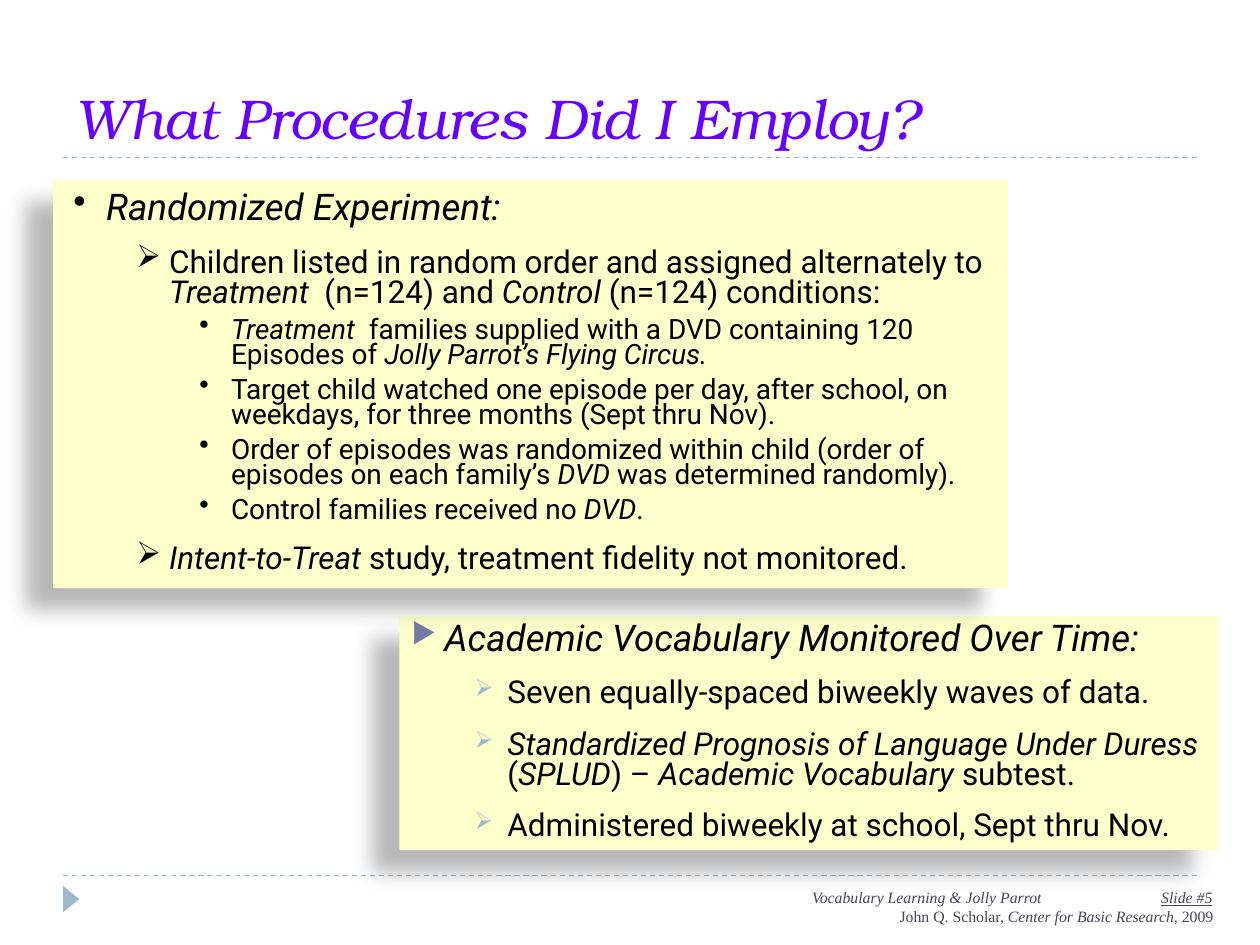
from dataclasses import dataclass

from lxml import etree
from pptx import Presentation
from pptx.dml.color import RGBColor
from pptx.enum.dml import MSO_LINE
from pptx.enum.shapes import MSO_CONNECTOR, MSO_SHAPE
from pptx.enum.text import MSO_ANCHOR, PP_ALIGN
from pptx.oxml.ns import qn
from pptx.util import Cm, Pt

DASH = MSO_LINE.DASH
STRAIGHT = MSO_CONNECTOR.STRAIGHT
RECTANGLE, TRIANGLE = MSO_SHAPE.RECTANGLE, MSO_SHAPE.ISOSCELES_TRIANGLE
MIDDLE = MSO_ANCHOR.MIDDLE
LEFT, RIGHT = PP_ALIGN.LEFT, PP_ALIGN.RIGHT

COLORS = {
    "title": "6600FF",
    "panel": "FFFFCC",
    "text": "000000",
    "accent": "9FB8CD",
    "marker": "727CA3",
    "footer": "464653",
}
TITLE_FONT = {"name": "TeX Gyre Bonum", "size": Pt(32)}
FOOTER_FONT = {"name": "Times New Roman", "size": Pt(9)}


@dataclass
class Level:
    size: float
    margin: float
    hanging: float
    line_spacing: float
    space_before: float


@dataclass
class Bullet:
    char: str
    color: str = "text"
    percent: int = 100


@dataclass
class Item:
    level: int
    bullet: Bullet
    text: str


@dataclass
class Panel:
    box: tuple[float, float, float, float]
    inset: float
    items: list[Item]


LEVELS = [
    Level(21, 0.66, 0.66, 0.8, 0),
    Level(18, 1.93, 0.66, 0.8, 12),
    Level(16, 3.18, 0.64, 0.75, 5.5),
]
DOT, ARROW = Bullet("•"), Bullet("➢")
MARKER, PALE_ARROW = Bullet("▶", "marker", 76), Bullet("➢", "accent", 76)

PANELS = [
    Panel((8.05, 12.42, 16.51, 4.72), 0.25, [
        Item(0, MARKER, "*Academic Vocabulary Monitored Over Time:*"),
        Item(1, PALE_ARROW, "Seven equally-spaced biweekly waves of data."),
        Item(1, PALE_ARROW, "*Standardized Prognosis of Language Under Duress *"
             "(*SPLUD*) – *Academic Vocabulary *subtest."),
        Item(1, PALE_ARROW, "Administered biweekly at school, Sept thru Nov."),
    ]),
    Panel((1.07, 3.63, 19.25, 8.23), 0.41, [
        Item(0, DOT, "*Randomized Experiment:*"),
        Item(1, ARROW, "Children listed in random order and assigned alternately to "
             "*Treatment*  (n=124) and *Control* (n=124) conditions:"),
        Item(2, DOT, "*Treatment * families supplied with a DVD containing 120 "
             "Episodes of *Jolly Parrot’s Flying Circus.*"),
        Item(2, DOT, "Target child watched one episode per day, after school, on "
             "weekdays, for three months (Sept thru Nov)."),
        Item(2, DOT, "Order of episodes was randomized within child (order of "
             "episodes on each family’s *DVD* was determined randomly)."),
        Item(2, DOT, "Control families received no *DVD*."),
        Item(1, ARROW, "*Intent-to-Treat *study, treatment fidelity not monitored."),
    ]),
]


def rgb(name: str) -> RGBColor:
    return RGBColor.from_string(COLORS[name])


def set_format(target, values: dict) -> None:
    for name, value in values.items():
        setattr(target, name, value)


def add_run(p, text: str, font: dict, color: str) -> None:
    r = p.add_run()
    r.text = text
    set_format(r.font, font)
    r.font.color.rgb = rgb(color)


def add_marked_text(p, text: str, font: dict, color: str) -> None:
    for i, part in enumerate(text.split("*")):
        if part:
            add_run(p, part, font | {"italic": i % 2 == 1}, color)


def prepare_frame(sp, left: float = 0.25, right: float = 0.25):
    tf = sp.text_frame
    set_format(tf, {
        "word_wrap": True, "vertical_anchor": MIDDLE,
        "margin_left": Cm(left), "margin_right": Cm(right),
        "margin_top": Cm(0.13), "margin_bottom": Cm(0.13),
    })
    return tf


def next_paragraph(tf, index: int):
    return tf.add_paragraph() if index else tf.paragraphs[0]


def add_bullet(p, bullet: Bullet, level: Level) -> None:
    pPr = p._p.get_or_add_pPr()
    pPr.set("marL", str(Cm(level.margin)))
    pPr.set("indent", str(-Cm(level.hanging)))
    color = etree.SubElement(pPr, qn("a:buClr"))
    etree.SubElement(color, qn("a:srgbClr"), val=COLORS[bullet.color])
    etree.SubElement(pPr, qn("a:buSzPct"), val=str(bullet.percent * 1000))
    etree.SubElement(pPr, qn("a:buChar"), char=bullet.char)


def add_shadow(sp) -> None:
    sp.shadow.inherit = False
    effects = sp._element.spPr.find(qn("a:effectLst"))
    shadow = etree.SubElement(
        effects, qn("a:outerShdw"), blurRad=str(Pt(11.8)), dist=str(Pt(19.7)),
        dir=str(141 * 60000), rotWithShape="0")
    color = etree.SubElement(shadow, qn("a:srgbClr"), val="000000")
    etree.SubElement(color, qn("a:alpha"), val="28000")


def add_filled_shape(s, kind, box: tuple, color: str):
    sp = s.shapes.add_shape(kind, *map(Cm, box))
    sp.shadow.inherit = False
    sp.fill.solid()
    sp.fill.fore_color.rgb = rgb(color)
    sp.line.fill.background()
    return sp


def add_panel(s, panel: Panel) -> None:
    sp = add_filled_shape(s, RECTANGLE, panel.box, "panel")
    add_shadow(sp)
    tf = prepare_frame(sp, left=panel.inset)
    for i, item in enumerate(panel.items):
        level = LEVELS[item.level]
        p = next_paragraph(tf, i)
        add_bullet(p, item.bullet, level)
        set_format(p, {
            "alignment": LEFT, "level": item.level,
            "line_spacing": level.line_spacing,
            "space_before": Pt(level.space_before),
        })
        add_marked_text(p, item.text, {"name": "Roboto", "size": Pt(level.size)}, "text")


def add_rule(s, y: float) -> None:
    line = s.shapes.add_connector(STRAIGHT, Cm(1.27), Cm(y), Cm(24.13), Cm(y))
    set_format(line.line, {"width": Pt(0.75), "dash_style": DASH})
    line.line.color.rgb = rgb("accent")
    etree.SubElement(line._element.spPr, qn("a:effectLst"))


def add_title(s, text: str) -> None:
    sp = s.shapes.add_textbox(Cm(1.27), Cm(1.55), Cm(22.86), Cm(1.63))
    p = prepare_frame(sp).paragraphs[0]
    add_marked_text(p, text, TITLE_FONT, "title")


def add_footer(s) -> None:
    sp = s.shapes.add_textbox(Cm(15.67), Cm(17.73), Cm(9.53), Cm(1.09))
    tf = prepare_frame(sp, left=0.7, right=0.74)
    p = tf.paragraphs[0]
    tabs = etree.SubElement(p._p.get_or_add_pPr(), qn("a:tabLst"))
    etree.SubElement(tabs, qn("a:tab"), pos=str(Cm(7.04)), algn="l")
    add_marked_text(p, "*Vocabulary Learning & Jolly Parrot\t*", FOOTER_FONT, "footer")
    add_run(p, "Slide #5", FOOTER_FONT | {"italic": True, "underline": True}, "footer")
    p = tf.add_paragraph()
    p.alignment = RIGHT
    add_marked_text(p, "John Q. Scholar, *Center for Basic Research*, 2009",
                    FOOTER_FONT, "footer")


def main() -> None:
    prs = Presentation()
    set_format(prs, {"slide_width": Cm(25.4), "slide_height": Cm(19.05)})
    s = prs.slides.add_slide(prs.slide_layouts[6])
    for y in (17.65, 3.18):
        add_rule(s, y)
    add_filled_shape(s, TRIANGLE, (1.17, 17.96, 0.53, 0.33), "accent").rotation = 90
    add_title(s, "*What Procedures Did I Employ?*")
    for panel in PANELS:
        add_panel(s, panel)
    add_footer(s)
    prs.save("out.pptx")


if __name__ == "__main__":
    main()
